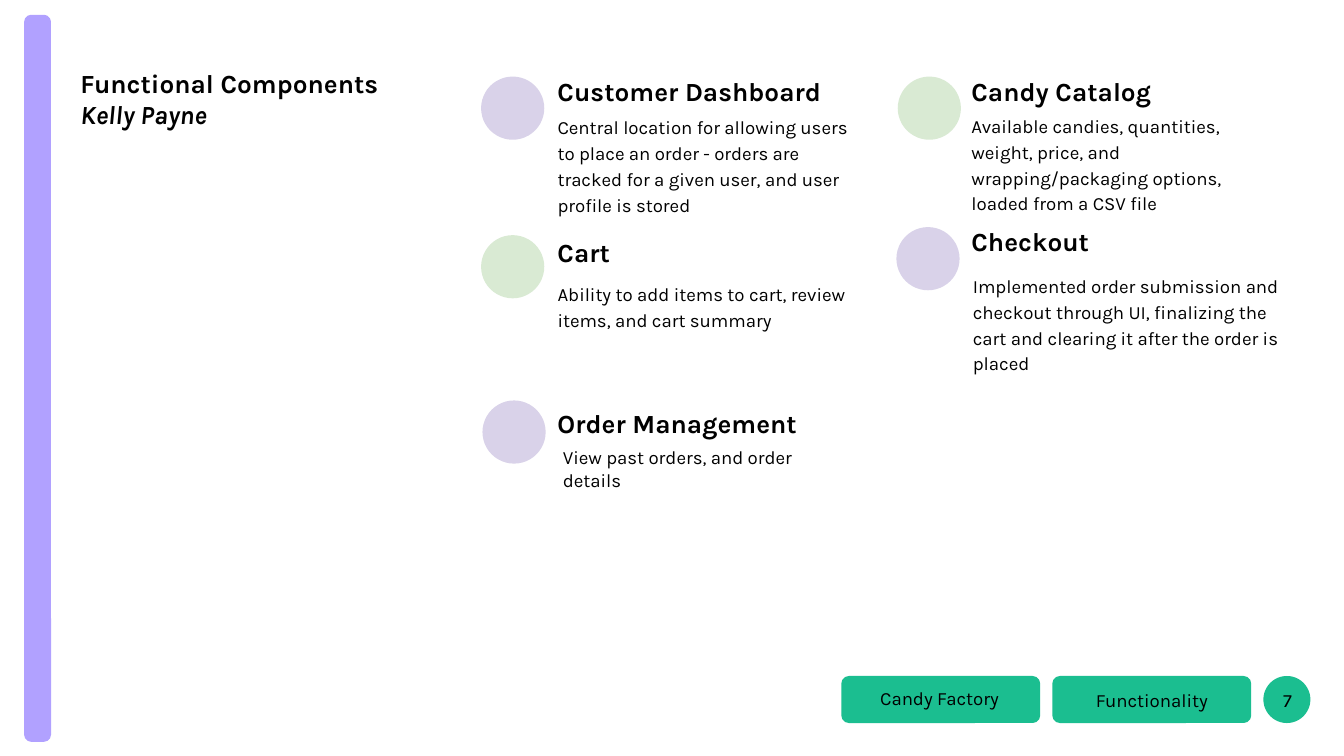
import pptx
import pptx.dml.color
import pptx.enum.shapes
import pptx.enum.text
import pptx.util

PX = 9144  # EMU per px, 100 px to the inch
SHAPE = pptx.enum.shapes.MSO_SHAPE
ALIGN = pptx.enum.text.PP_ALIGN
ANCHOR = pptx.enum.text.MSO_ANCHOR

PURPLE, GREEN = "B1A1FF", "1BBE90"
LILAC, MINT = "D9D2E9", "D9EAD3"
BLACK, WHITE = "000000", "FFFFFF"

HEADING = {"size": pptx.util.Pt(14), "bold": True}
SUBHEADING = {"size": pptx.util.Pt(14), "bold": True, "italic": True}
BODY = {"size": pptx.util.Pt(10)}
LOOSE = {"line_spacing": 1.15, "space_after": pptx.util.Pt(10)}
CENTRED = {"alignment": ALIGN.CENTER}


def apply(target, values):
    for name, value in values.items():
        setattr(target, name, value)


def paint(colour_format, colour):
    colour_format.rgb = pptx.dml.color.RGBColor.from_string(colour)


def emu(box):
    return [length * PX for length in box]


def add_plain(slide, kind, box, colour, corner=None):
    shape = slide.shapes.add_shape(kind, *emu(box))
    shape.shadow.inherit = False
    shape.fill.solid()
    paint(shape.fill.fore_color, colour)
    shape.line.fill.background()
    if corner is not None:
        shape.adjustments[0] = corner


def add_text(slide, box, lines, layout=None, anchor=ANCHOR.TOP):
    """Write (text, font values) lines into a box, one paragraph each."""
    frame = slide.shapes.add_textbox(*emu(box)).text_frame
    inset = 10 * PX
    apply(frame, {"word_wrap": True, "vertical_anchor": anchor,
                  "margin_left": inset, "margin_right": inset,
                  "margin_top": inset, "margin_bottom": inset})
    for index, (text, font) in enumerate(lines):
        paragraph = frame.add_paragraph() if index else frame.paragraphs[0]
        apply(paragraph, layout or {})
        run = paragraph.add_run()
        run.text = text
        apply(run.font, {"name": "Karla", **font})
        paint(run.font.color, BLACK)


def add_component(slide, left, top, dot, heading, heading_offset,
                  detail, detail_box, layout):
    """Place a dot, with the heading and detail to its right."""
    add_plain(slide, SHAPE.OVAL, (left, top, 47, 47), dot)
    x, y = heading_offset
    add_text(slide, (left + x, top + y, 220, 46), [(heading, HEADING)])
    x, y, width, height = detail_box
    add_text(slide, (left + x, top + y, width, height),
             [(detail, BODY)], layout)


def add_footer(slide, left, top):
    """Place two section labels and the page number in a row."""
    width, height, gap = 148, 35, 9
    # Section labels; the first one's text sits slightly higher
    for index, (label, lift) in enumerate(
            [("Candy Factory", 1), ("Functionality", 0)]):
        x = left + index * (width + gap)
        add_plain(slide, SHAPE.ROUNDED_RECTANGLE, (x, top, width, height),
                  GREEN, 0.16)
        add_text(slide, (x - lift, top - lift, width, height),
                 [(label, BODY)], CENTRED, ANCHOR.MIDDLE)
    # Page number
    x = left + 2 * (width + gap)
    add_plain(slide, SHAPE.OVAL, (x, top, height, height), GREEN)
    add_text(slide, (x - 12, top, 60, height), [("7", BODY)],
             CENTRED, ANCHOR.MIDDLE)


def main():
    deck = pptx.Presentation()
    width = 1000 * PX
    apply(deck, {"slide_width": width, "slide_height": width * 9 // 16})
    slide = deck.slides.add_slide(deck.slide_layouts[6])
    slide.background.fill.solid()
    paint(slide.background.fill.fore_color, WHITE)

    # Side bar and title
    add_plain(slide, SHAPE.ROUNDED_RECTANGLE, (18, 11, 20, 541), PURPLE, 0.26)
    add_text(slide, (50, 40, 253, 117),
             [("Functional Components", HEADING), ("Kelly Payne", SUBHEADING)])

    # Components: dot position and colour, then heading and detail,
    # each followed by its place relative to the dot
    components = [
        (358, 57, LILAC, "Customer Dashboard", (47, -11),
         "Central location for allowing users to place an order - orders are "
         "tracked for a given user, and user profile is stored",
         (47, 17, 245, 70), LOOSE),
        (668, 57, MINT, "Candy Catalog", (45, -11),
         "Available candies, quantities, weight, price, and "
         "wrapping/packaging options, loaded from a CSV file",
         (45, 16, 245, 84), LOOSE),
        (358, 175, MINT, "Cart", (47, -9),
         "Ability to add items to cart, review items, and cart summary",
         (47, 23, 245, 47), LOOSE),
        (667, 169, LILAC, "Checkout", (46, -11),
         "Implemented order submission and checkout through UI, finalizing "
         "the cart and clearing it after the order is placed",
         (47, 23, 262, 128), LOOSE),
        (359, 298, LILAC, "Order Management", (46, -5),
         "View past orders, and order details",
         (50, 24, 216, 54), None),
    ]
    for component in components:
        add_component(slide, *component)

    add_footer(slide, 626, 503)
    deck.save("out.pptx")


if __name__ == "__main__":
    main()
